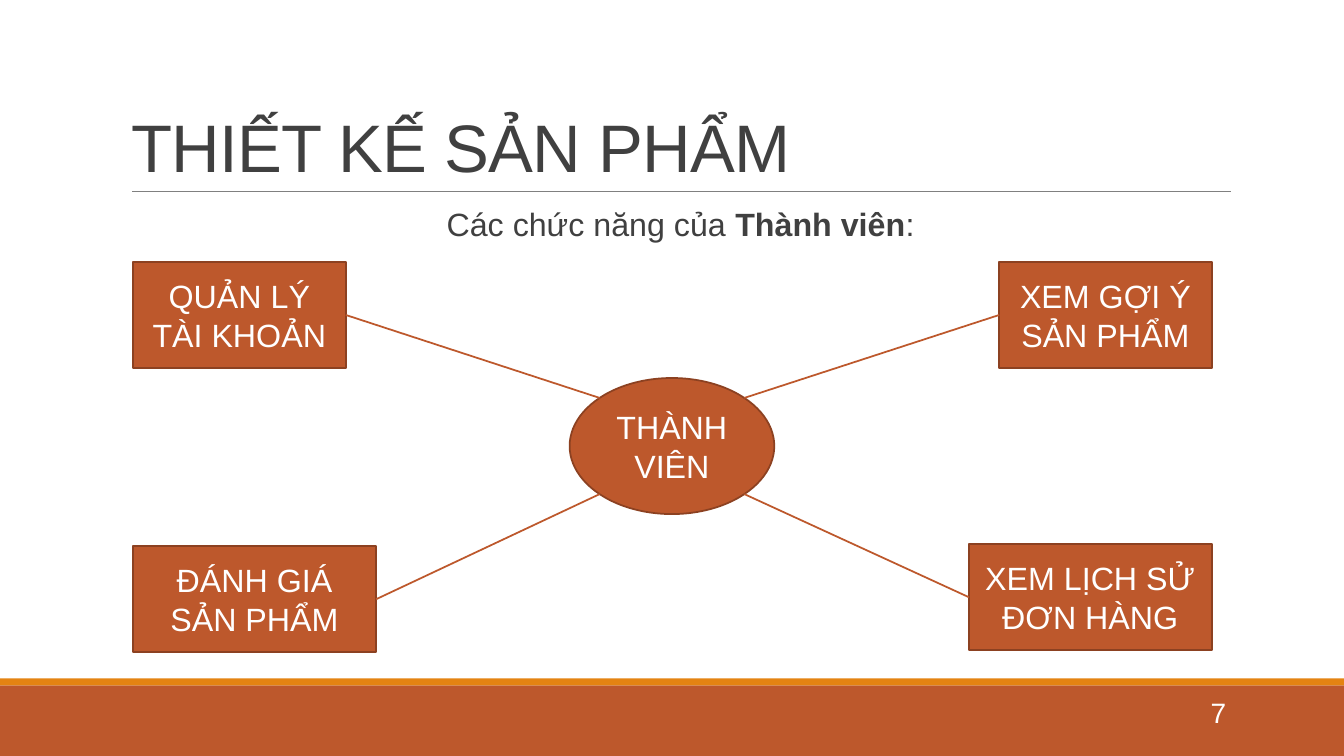
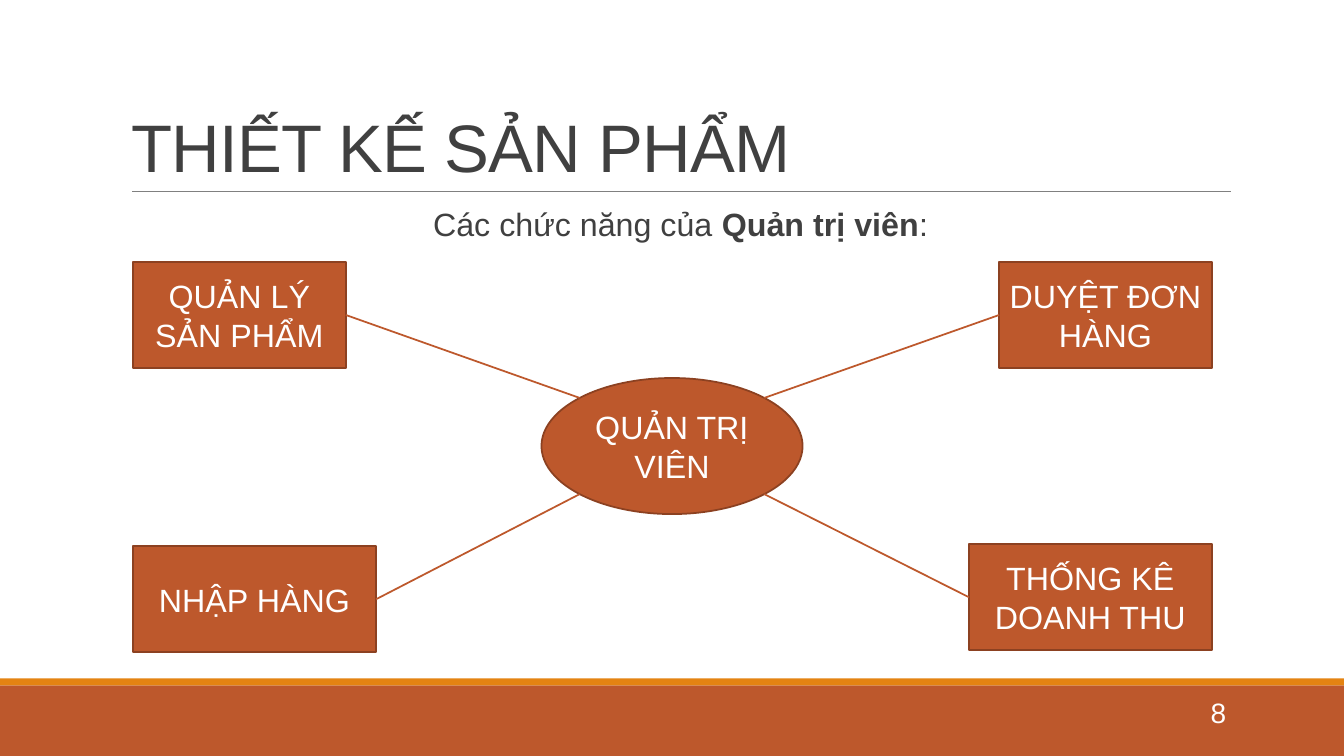
from math import cos, pi

from lxml.etree import SubElement
from pptx import Presentation
from pptx.dml.color import RGBColor
from pptx.enum.shapes import MSO_CONNECTOR, MSO_SHAPE
from pptx.enum.text import MSO_ANCHOR, MSO_AUTO_SIZE, PP_ALIGN
from pptx.oxml.ns import qn
from pptx.util import Inches, Pt

COLORS = {
    "rust": "BD582C",
    "rust_dark": "8C4121",
    "orange": "E48312",
    "text": "404040",
    "rule": "808080",
    "white": "FFFFFF",
}
FONT = "Arial"
TITLE = "THIẾT KẾ SẢN PHẨM"
SLIDE_W, SLIDE_H = 13.33, 7.5
DIAGRAM = (1.32, 2.6, 10.7, 3.87)

# Page number, role, hub label, hub width, then the boxes:
# top left, top right, bottom left, bottom right
SLIDES = [
    (7, "Thành viên", "THÀNH VIÊN", 2.03,
     ["QUẢN LÝ TÀI KHOẢN", "XEM GỢI Ý SẢN PHẨM",
      "ĐÁNH GIÁ SẢN PHẨM", "XEM LỊCH SỬ ĐƠN HÀNG"]),
    (8, "Quản trị viên", "QUẢN TRỊ VIÊN", 2.59,
     ["QUẢN LÝ SẢN PHẨM", "DUYỆT ĐƠN HÀNG",
      "NHẬP HÀNG", "THỐNG KÊ DOANH THU"]),
]


def rgb(name):
    return RGBColor.from_string(COLORS[name])


def add_run(p, text, size, color, bold=False):
    r = p.add_run()
    r.text = text
    r.font.name, r.font.size, r.font.bold = FONT, Pt(size), bold
    r.font.color.rgb = rgb(color)
    return r


def place(sp, x, y, w, h):
    sp.left, sp.top, sp.width, sp.height = map(Inches, (x, y, w, h))


def add_block(s, kind, box, fill, line=None):
    sp = s.shapes.add_shape(kind, *map(Inches, box))
    sp.shadow.inherit = False
    sp.fill.solid()
    sp.fill.fore_color.rgb = rgb(fill)
    if line:
        sp.line.color.rgb = rgb(line)
        sp.line.width = Pt(1.25)
    else:
        sp.line.fill.background()
    return sp


def add_line(s, start, end, color, width):
    ln = s.shapes.add_connector(MSO_CONNECTOR.STRAIGHT,
                                *map(Inches, (*start, *end)))
    ln.line.color.rgb = rgb(color)
    ln.line.width = Pt(width)
    SubElement(ln.element.spPr, qn("a:effectLst"))
    return ln


def add_node(s, kind, box, label):
    sp = add_block(s, kind, box, "rust", "rust_dark")
    tf = sp.text_frame
    tf.word_wrap = True
    tf.vertical_anchor = MSO_ANCHOR.MIDDLE
    p = tf.paragraphs[0]
    p.alignment = PP_ALIGN.CENTER
    add_run(p, label, 23, "white")
    return sp


def add_frame(s, number):
    # Footer bands and title rule
    add_block(s, MSO_SHAPE.RECTANGLE, (0, 6.8, SLIDE_W, 0.7), "rust")
    add_block(s, MSO_SHAPE.RECTANGLE, (0, 6.73, SLIDE_W, 0.07), "orange")
    add_line(s, (1.31, 1.9), (12.21, 1.9), "rule", 0.5)

    # Page number
    sp = s.shapes.add_textbox(*map(Inches, (10.83, 6.87, 1.43, 0.4)))
    tf = sp.text_frame
    tf.word_wrap = True
    tf.vertical_anchor = MSO_ANCHOR.MIDDLE
    p = tf.paragraphs[0]
    p.alignment = PP_ALIGN.RIGHT
    add_run(p, str(number), 20, "white")


def fill_title(sp):
    place(sp, 1.2, 0.31, 11, 1.59)
    tf = sp.text_frame
    tf.auto_size = MSO_AUTO_SIZE.NONE
    tf.vertical_anchor = MSO_ANCHOR.BOTTOM
    p = tf.paragraphs[0]
    p.alignment = PP_ALIGN.LEFT
    p.line_spacing = 0.85
    r = add_run(p, TITLE, 48, "text")
    r.font.fill.solid()
    r.font.color.rgb = rgb("text")
    r.font.language_id = None
    p.runs[0].font.bold = False
    p.runs[0]._r.get_or_add_rPr().set("spc", "-50")


def fill_intro(sp, role):
    place(sp, 1.2, 2.02, 11, 4.4)
    tf = sp.text_frame
    tf.auto_size = MSO_AUTO_SIZE.NONE
    tf.vertical_anchor = MSO_ANCHOR.TOP
    tf.margin_left = tf.margin_right = 0
    p = tf.paragraphs[0]
    p.alignment = PP_ALIGN.CENTER
    p.line_spacing = 0.9
    p.space_before, p.space_after = Pt(12), Pt(2)

    # Blank bullet with a small hanging indent
    pPr = p._p.get_or_add_pPr()
    pPr.set("marL", str(Inches(0.1)))
    pPr.set("indent", str(Inches(-0.1)))
    clr = SubElement(pPr, qn("a:buClr"))
    SubElement(clr, qn("a:srgbClr"), val=COLORS["orange"])
    SubElement(pPr, qn("a:buChar"), char=" ")

    add_run(p, "Các chức năng của ", 23, "text")
    add_run(p, role, 23, "text", bold=True)
    add_run(p, ":", 23, "text")


def add_diagram(s, box, hub, hub_w, labels):
    x, y, w, h = box
    hub_h, box_h = 1.35, 1.05
    cx, cy = SLIDE_W / 2, y + 1.15 + hub_h / 2
    add_node(s, MSO_SHAPE.OVAL,
             (cx - hub_w / 2, cy - hub_h / 2, hub_w, hub_h), hub)

    # Spokes meet the hub on its diagonals
    dx, dy = hub_w / 2 * cos(pi / 4), hub_h / 2 * cos(pi / 4)
    bottom = y + h - box_h
    corners = [(-1, -1, 2.11, y), (1, -1, 2.11, y),
               (-1, 1, 2.41, bottom), (1, 1, 2.41, bottom - 0.02)]
    for label, (side, level, box_w, top) in zip(labels, corners):
        left = x if side < 0 else x + w - box_w
        sp = add_node(s, MSO_SHAPE.RECTANGLE,
                      (left, top, box_w, box_h), label)
        inner = left + box_w if side < 0 else left
        ln = add_line(s, (inner, top + box_h / 2),
                      (cx + side * dx, cy + level * dy), "rust", 1.25)
        ln.begin_connect(sp, 3 if side < 0 else 1)


def add_function_slide(prs, number, role, hub, hub_w, labels):
    s = prs.slides.add_slide(prs.slide_layouts[1])
    fill_title(s.shapes.title)
    fill_intro(s.placeholders[1], role)
    add_frame(s, number)
    add_diagram(s, DIAGRAM, hub, hub_w, labels)


def main():
    prs = Presentation()
    prs.slide_width, prs.slide_height = Inches(SLIDE_W), Inches(SLIDE_H)
    for content in SLIDES:
        add_function_slide(prs, *content)
    prs.save("out.pptx")


if __name__ == "__main__":
    main()
